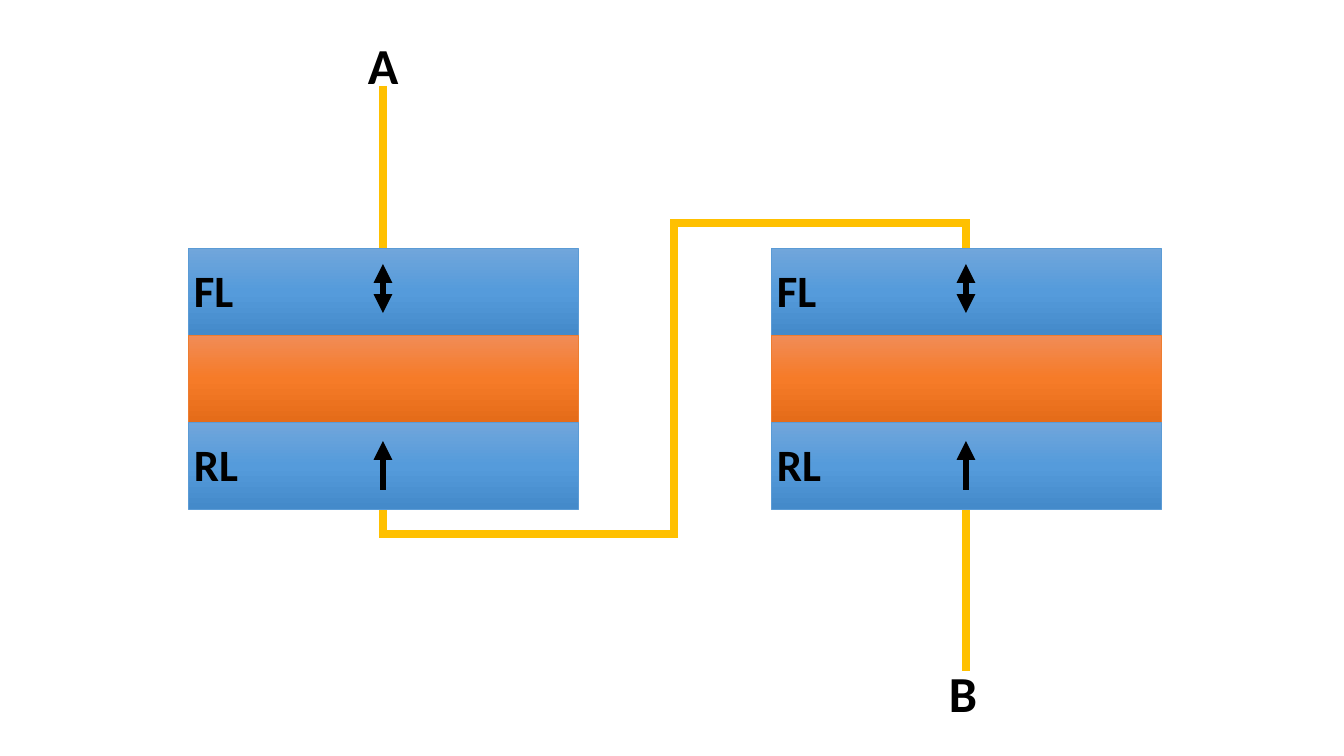
from copy import deepcopy
from dataclasses import dataclass

from lxml import etree
from pptx import Presentation
from pptx.dml.color import RGBColor
from pptx.enum.shapes import MSO_CONNECTOR, MSO_SHAPE
from pptx.enum.text import MSO_AUTO_SIZE
from pptx.oxml.ns import qn
from pptx.shapes.connector import Connector
from pptx.util import Emu, Pt

SCALE = 914400 / 100.8
Point = tuple[int, int]


def px(pixels: int) -> Emu:
    return Emu(round(pixels * SCALE))


@dataclass(frozen=True)
class Finish:
    stops: tuple[str, str, str]
    edge: str


@dataclass(frozen=True)
class Theme:
    font: str = "Calibri"
    ink: str = "000000"
    wire: str = "FFC000"
    magnet: Finish = Finish(("71A6DB", "559BDB", "448ACA"), "5B9BD5")
    barrier: Finish = Finish(("F18C57", "F67B28", "E56C19"), "ED7D31")
    layer_size: int = 32
    terminal_size: int = 36
    edge_width: float = 0.5
    arrow_width: float = 4.5
    wire_width: float = 6


THEME = Theme()


@dataclass(frozen=True)
class Layer:
    finish: Finish
    name: str = ""
    name_width: int = 0
    arrow_start: int = 0
    arrow_end: int = 0
    two_way: bool = False


@dataclass(frozen=True)
class Terminal:
    name: str
    left: int
    top: int
    width: int
    wire: tuple[Point, Point]


# Layout
STACK_LEFTS = (188, 771)
STACK_TOP, STACK_WIDTH, LAYER_HEIGHT = 248, 390, 87
NAME_DX, NAME_DY, NAME_HEIGHT, TERMINAL_HEIGHT = -4, 10, 65, 72
LAYERS = (
    Layer(THEME.magnet, "FL", 60, 65, 16, two_way=True),
    Layer(THEME.barrier),
    Layer(THEME.magnet, "RL", 65, 68, 19),
)
STACK_BOTTOM = STACK_TOP + LAYER_HEIGHT * len(LAYERS)
LEFT_AXIS, RIGHT_AXIS = (left + STACK_WIDTH // 2 for left in STACK_LEFTS)
MID_AXIS = (LEFT_AXIS + RIGHT_AXIS) // 2
JUMPER_GAP, LEAD = 25, 162
TERMINALS = (
    Terminal("A", 358, 29, 51,
             ((LEFT_AXIS, STACK_TOP), (LEFT_AXIS, STACK_TOP - LEAD))),
    Terminal("B", 939, 657, 48,
             ((RIGHT_AXIS, STACK_BOTTOM), (RIGHT_AXIS, STACK_BOTTOM + LEAD))),
)
JUMPER = (
    (LEFT_AXIS, STACK_BOTTOM),
    (LEFT_AXIS, STACK_BOTTOM + JUMPER_GAP),
    (MID_AXIS, STACK_BOTTOM + JUMPER_GAP),
    (MID_AXIS, STACK_TOP - JUMPER_GAP),
    (RIGHT_AXIS, STACK_TOP - JUMPER_GAP),
    (RIGHT_AXIS, STACK_TOP),
)


def style_line(shape, color: str, width: float) -> None:
    shape.line.color.rgb = RGBColor.from_string(color)
    shape.line.width = Pt(width)


def add_block(shapes, left: int, top: int, finish: Finish) -> None:
    block = shapes.add_shape(MSO_SHAPE.RECTANGLE, px(left), px(top),
                             px(STACK_WIDTH), px(LAYER_HEIGHT))
    block.shadow.inherit = False
    style_line(block, finish.edge, THEME.edge_width)
    block.fill.gradient()
    block.fill.gradient_angle = 270
    stop_list = next(block.element.iter(qn("a:gsLst")))
    stop_list.append(deepcopy(stop_list[0]))
    for index, (stop, color) in enumerate(zip(block.fill.gradient_stops, finish.stops)):
        stop.position = index / 2
        stop.color.rgb = RGBColor.from_string(color)


def add_label(shapes, text: str, left: int, top: int, width: int,
              height: int, size: int) -> None:
    frame = shapes.add_textbox(px(left), px(top), px(width), px(height)).text_frame
    frame.word_wrap = False
    frame.auto_size = MSO_AUTO_SIZE.SHAPE_TO_FIT_TEXT
    run = frame.paragraphs[0].add_run()
    run.text = text
    run.font.name = THEME.font
    run.font.size = Pt(size)
    run.font.bold = True
    run.font.color.rgb = RGBColor.from_string(THEME.ink)


def add_line(shapes, start: Point, end: Point, color: str, width: float) -> Connector:
    line = shapes.add_connector(MSO_CONNECTOR.STRAIGHT, *map(px, start + end))
    style_line(line, color, width)
    etree.SubElement(line.element.spPr, qn("a:effectLst"))
    return line


def add_arrow(shapes, start: Point, end: Point, two_way: bool) -> None:
    arrow = add_line(shapes, start, end, THEME.ink, THEME.arrow_width)
    outline = arrow.line._get_or_add_ln()
    for tag in ("a:headEnd", "a:tailEnd") if two_way else ("a:tailEnd",):
        etree.SubElement(outline, qn(tag), type="triangle")


def add_stack(shapes, left: int) -> None:
    group = shapes.add_group_shape().shapes
    axis = left + STACK_WIDTH // 2
    for index, layer in enumerate(LAYERS):
        top = STACK_TOP + index * LAYER_HEIGHT
        add_block(group, left, top, layer.finish)
        if layer.name:
            add_label(group, layer.name, left + NAME_DX, top + NAME_DY,
                      layer.name_width, NAME_HEIGHT, THEME.layer_size)
            add_arrow(group, (axis, top + layer.arrow_start),
                      (axis, top + layer.arrow_end), layer.two_way)


def add_jumper(shapes, points: tuple[Point, ...]) -> None:
    start, *rest = [(px(x), px(y)) for x, y in points]
    builder = shapes.build_freeform(*start)
    builder.add_line_segments(rest, close=False)
    jumper = builder.convert_to_shape()
    jumper.shadow.inherit = False
    jumper.fill.background()
    style_line(jumper, THEME.wire, THEME.wire_width)
    etree.SubElement(jumper.line._get_or_add_ln(), qn("a:miter"), lim="800000")


presentation = Presentation()
presentation.slide_width, presentation.slide_height = px(1344), px(756)
slide = presentation.slides.add_slide(presentation.slide_layouts[6])

# Wiring and terminals
for terminal in TERMINALS:
    add_line(slide.shapes, *terminal.wire, THEME.wire, THEME.wire_width)
    add_label(slide.shapes, terminal.name, terminal.left, terminal.top,
              terminal.width, TERMINAL_HEIGHT, THEME.terminal_size)
add_jumper(slide.shapes, JUMPER)

# Layer stacks
for stack_left in STACK_LEFTS:
    add_stack(slide.shapes, stack_left)

presentation.save("out.pptx")
